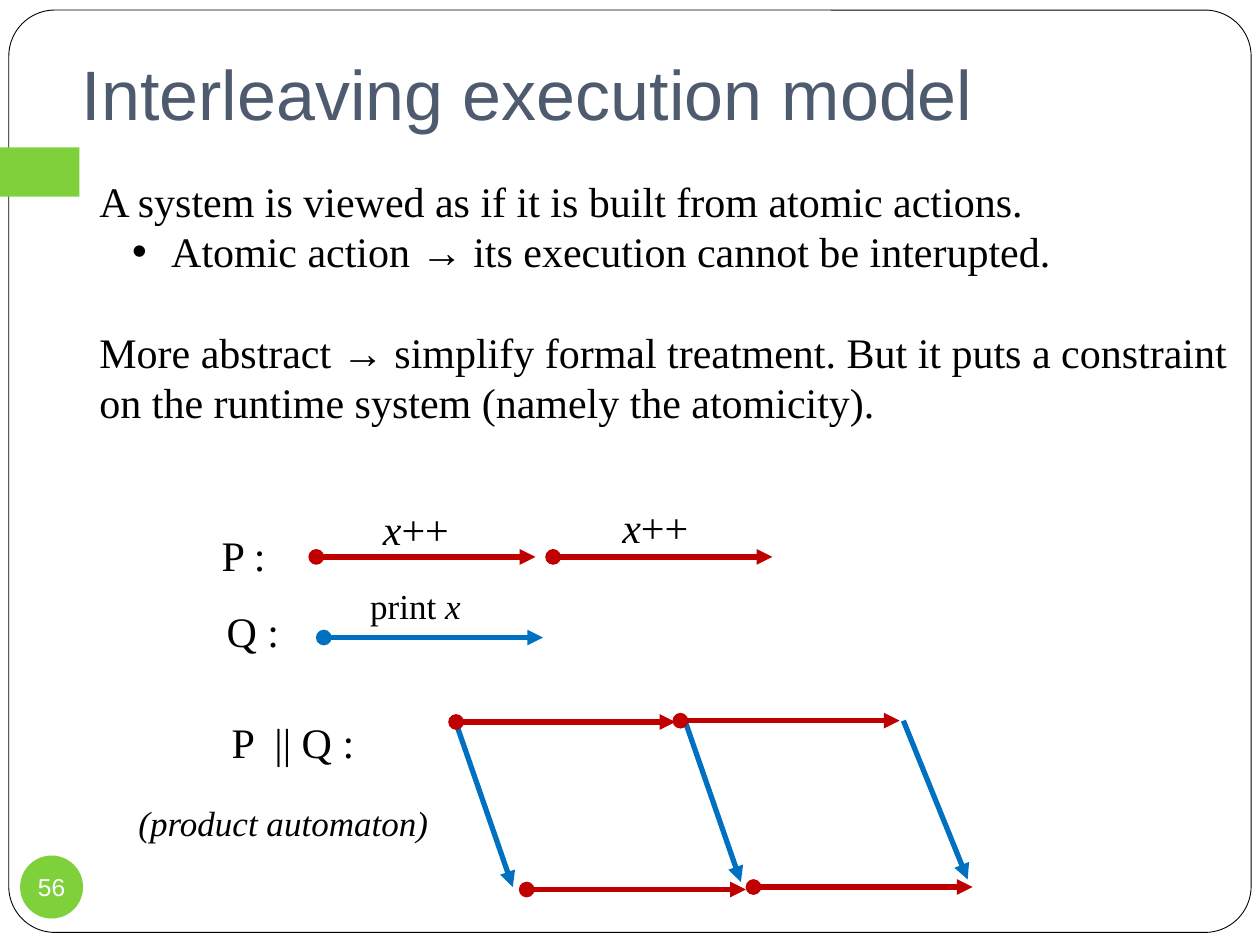
from dataclasses import dataclass

from lxml.etree import SubElement
from pptx import Presentation
from pptx.dml.color import RGBColor as Color
from pptx.enum.shapes import MSO_CONNECTOR as Connector, MSO_SHAPE as Shape
from pptx.enum.text import MSO_ANCHOR as Anchor, MSO_AUTO_SIZE as AutoSize, PP_ALIGN as Align
from pptx.oxml.ns import qn
from pptx.util import Inches, Pt


@dataclass(frozen=True)
class Theme:
    heading_font: str = "Arial"
    body_font: str = "Times New Roman"
    black: str = "000000"
    white: str = "FFFFFF"
    green: str = "7FD13B"
    slate: str = "4E5B6F"
    red: str = "C00000"
    blue: str = "0070C0"
    title_size: int = 40
    body_size: int = 24
    small_size: int = 20
    number_size: int = 14
    arrow_width: int = 3


THEME = Theme()


def add_text(para, text, size=THEME.body_size, font=THEME.body_font,
             color=THEME.black, italic=False):
    span = para.add_run()
    span.text = text
    span.font.size = Pt(size)
    span.font.name = font
    span.font.italic = italic
    span.font.color.rgb = Color.from_string(color)


class SlideBuilder:
    def __init__(self, slide, theme):
        self.slide = slide
        self.theme = theme

    def title(self, text, left, top, width, height):
        box = self.slide.shapes.title
        box.left, box.top = Inches(left), Inches(top)
        box.width, box.height = Inches(width), Inches(height)
        frame = box.text_frame
        frame.auto_size = AutoSize.NONE
        frame.vertical_anchor = Anchor.BOTTOM
        frame.margin_bottom = Inches(0.1)
        para = frame.paragraphs[0]
        para.alignment = Align.LEFT
        add_text(para, text, size=self.theme.title_size,
                 font=self.theme.heading_font, color=self.theme.slate)

    def shape(self, kind, left, top, width, height, fill, outline=None):
        box = self.slide.shapes.add_shape(
            kind, Inches(left), Inches(top), Inches(width), Inches(height))
        box.shadow.inherit = False
        box.fill.solid()
        box.fill.fore_color.rgb = Color.from_string(fill)
        if outline:
            box.line.color.rgb = Color.from_string(outline)
            box.line.width = Pt(0.5)
        else:
            box.line.fill.background()
        return box

    def text_box(self, left, top, width, height, wrap=False):
        box = self.slide.shapes.add_textbox(
            Inches(left), Inches(top), Inches(width), Inches(height))
        box.text_frame.word_wrap = wrap
        box.text_frame.auto_size = AutoSize.SHAPE_TO_FIT_TEXT
        return box.text_frame

    def label(self, left, top, width, height, *parts, size=THEME.body_size):
        """Each part is a (text, italic) pair."""
        para = self.text_box(left, top, width, height).paragraphs[0]
        para.alignment = Align.LEFT
        for text, italic in parts:
            add_text(para, text, size=size, italic=italic)

    def arrow(self, start, end, color, dot=False):
        line = self.slide.shapes.add_connector(
            Connector.STRAIGHT, *(Inches(value) for value in (*start, *end)))
        line.line.color.rgb = Color.from_string(color)
        line.line.width = Pt(self.theme.arrow_width)
        outline = line.line._get_or_add_ln()
        if dot:
            SubElement(outline, qn("a:headEnd"), type="oval")
        SubElement(outline, qn("a:tailEnd"), type="triangle")
        SubElement(line._element.spPr, qn("a:effectLst"))

    def action(self, left, top, color):
        """One atomic action: a level arrow that starts at a dot."""
        self.arrow((left, top), (left + 1.74, top), color, dot=True)


def add_bullet(para, left, hanging):
    props = para._p.get_or_add_pPr()
    props.set("marL", str(Inches(left)))
    props.set("indent", str(-Inches(hanging)))
    SubElement(props, qn("a:buFont"), typeface="Arial")
    SubElement(props, qn("a:buChar"), char="•")


def main():
    deck = Presentation()
    deck.slide_width, deck.slide_height = Inches(10), Inches(7.5)
    page = SlideBuilder(deck.slides.add_slide(deck.slide_layouts[5]), THEME)

    # Frame, side tab, title and page number
    frame = page.shape(Shape.ROUNDED_RECTANGLE, 0.07, 0.08, 9.86, 7.32,
                       THEME.white, THEME.black)
    frame.adjustments[0] = 0.05
    page.shape(Shape.RECTANGLE, 0, 1.17, 0.63, 0.39, THEME.green)
    title = page.slide.shapes.title
    title._element.getparent().append(title._element)
    page.title("Interleaving execution model", 0.55, 0.3, 9.14, 0.87)
    badge = page.shape(Shape.OVAL, 0.16, 6.79, 0.5, 0.5, THEME.green).text_frame
    badge.margin_left = badge.margin_right = badge.margin_top = badge.margin_bottom = 0
    badge.word_wrap = False
    badge.vertical_anchor = Anchor.MIDDLE
    badge.paragraphs[0].alignment = Align.CENTER
    add_text(badge.paragraphs[0], "56", size=THEME.number_size,
             font=THEME.heading_font, color=THEME.white)

    # Product automaton: Q steps down, P steps across
    for start, end in (((3.63, 5.77), (4.07, 7.04)),
                       ((5.44, 5.73), (5.88, 7)),
                       ((7.17, 5.72), (7.68, 6.98))):
        page.arrow(start, end, THEME.blue)
    for left, top in ((3.62, 5.73), (5.4, 5.72), (4.18, 7.06), (5.98, 7.04)):
        page.action(left, top, THEME.red)
    page.label(1.74, 5.64, 1.2, 0.5, ("P  || Q :", False))
    page.label(1, 6.31, 2.53, 0.44, ("(product automaton)", True), size=THEME.small_size)

    # Process P
    page.label(1.66, 4.15, 0.58, 0.5, ("P :", False))
    for left, label_left, label_top in ((2.51, 2.94, 3.95), (4.39, 4.84, 3.93)):
        page.action(left, 4.42, THEME.red)
        page.label(label_left, label_top, 0.75, 0.5, ("x", True), ("++", False))

    # Process Q
    page.label(1.7, 4.76, 0.65, 0.5, ("Q :", False))
    page.action(2.57, 5.06, THEME.blue)
    page.label(2.84, 4.59, 0.94, 0.44, ("print ", False), ("x", True), size=THEME.small_size)

    # Explanation
    body = page.text_box(0.69, 1.34, 9.31, 2.1, wrap=True)
    add_text(body.paragraphs[0], "A system is viewed as if it is built from atomic actions.")
    bullet, remark = body.add_paragraph(), body.add_paragraph()
    add_bullet(bullet, 0.57, 0.31)
    remark.space_before = Pt(29)
    for para, before, after in (
            (bullet, "Atomic action ", " its execution cannot be interupted."),
            (remark, "More abstract ", " simplify formal treatment. But it puts a constraint "
                     "on the runtime system (namely the atomicity).")):
        add_text(para, before)
        add_text(para, "→", font=THEME.heading_font)
        add_text(para, after)

    deck.save("out.pptx")


if __name__ == "__main__":
    main()
